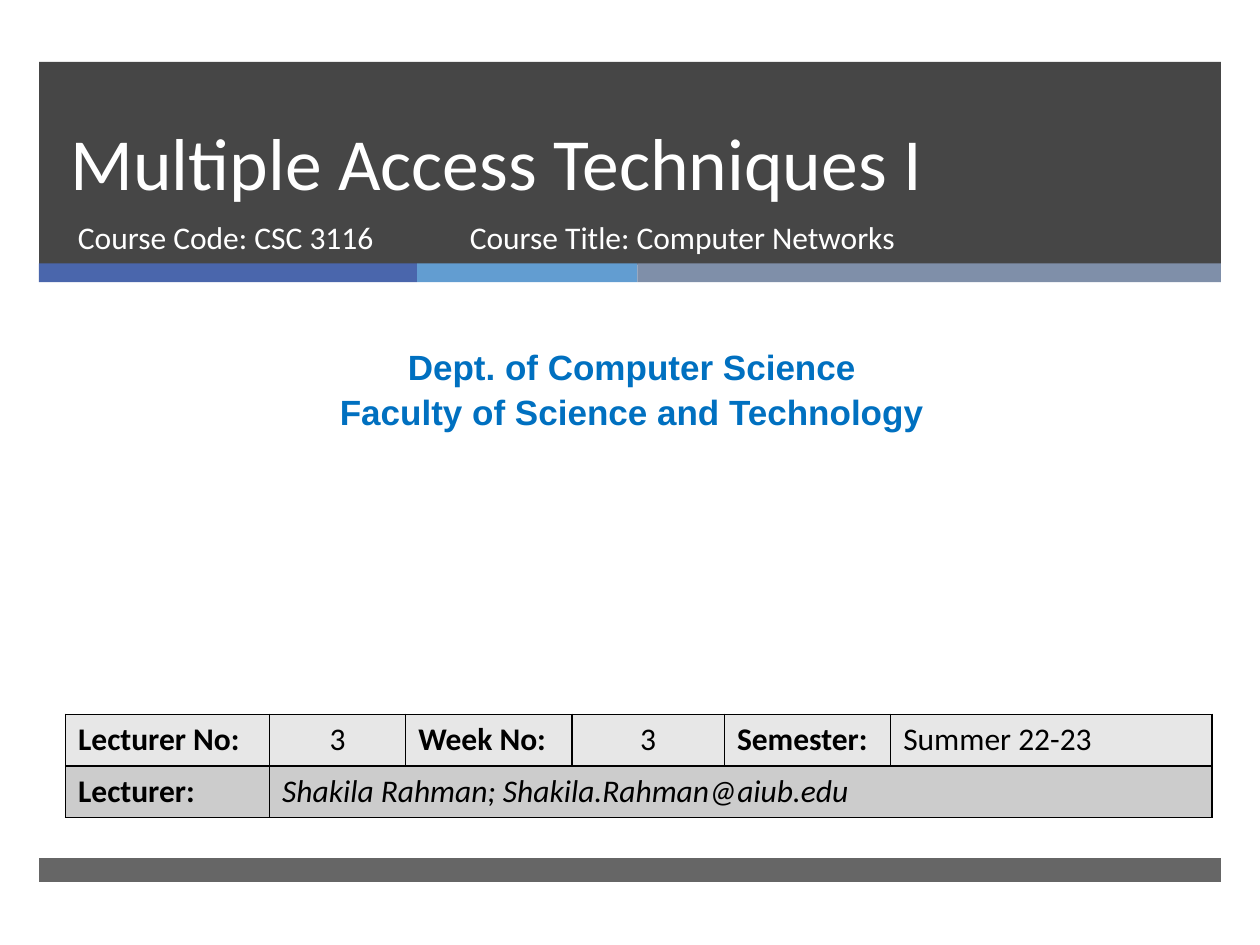
from dataclasses import dataclass
from itertools import accumulate

from lxml.etree import SubElement
from pptx import Presentation
from pptx.dml.color import RGBColor
from pptx.enum.shapes import MSO_SHAPE as Shape
from pptx.enum.text import MSO_ANCHOR as Anchor, PP_ALIGN as Align
from pptx.oxml.ns import qn
from pptx.util import Inches, Pt


@dataclass(frozen=True)
class Theme:
    dark: str = "262626"
    stripes: tuple = ("4A66AC", "629DD1", "7F8FA9")
    white: str = "FFFFFF"
    black: str = "000000"
    accent: str = "0070C0"
    rows: tuple = ("E7E7E7", "CCCCCC")
    body_font: str = "Calibri"
    department_font: str = "Arial"
    title_size: int = 42
    department_size: int = 20
    body_size: int = 18


@dataclass(frozen=True)
class Band:
    left: float
    top: float
    width: float
    height: float
    color: str
    opacity: int = 100


@dataclass(frozen=True)
class Entry:
    text: str
    bold: bool = False
    italic: bool = False
    align: Align = Align.LEFT


THEME = Theme()
LEFT, WIDTH = 0.31, 9.38
STRIPE_WIDTHS = (3, 1.75, 4.63)
COLUMN_WIDTHS = (1.62, 1.08, 1.32, 1.21, 1.32, 2.55)
ROW_HEIGHT = 0.41

BANDS = [
    Band(LEFT, 0.49, WIDTH, 1.61, THEME.dark, 85),
    *(Band(left, 2.09, width, 0.15, color) for left, width, color in
      zip(accumulate(STRIPE_WIDTHS, initial=LEFT), STRIPE_WIDTHS, THEME.stripes)),
    Band(LEFT, 6.81, WIDTH, 0.19, THEME.dark, 70),
]
LECTURE_ROWS = [
    [Entry("Lecturer No:", bold=True), Entry("3", align=Align.CENTER),
     Entry("Week No:", bold=True), Entry("3", align=Align.CENTER),
     Entry("Semester:", bold=True), Entry("Summer 22-23")],
    [Entry("Lecturer:", bold=True),
     Entry("Shakila Rahman; Shakila.Rahman@aiub.edu", italic=True)],
]


def write(frame, text: str, *, size: int = THEME.body_size, color: str = THEME.white,
          font: str = THEME.body_font, bold: bool = False, italic: bool = False,
          align: Align = Align.LEFT, spacing=None) -> None:
    """Fill a text frame, one paragraph for each line of text."""
    for index, line in enumerate(text.split("\n")):
        para = frame.add_paragraph() if index else frame.paragraphs[0]
        para.alignment = align
        if spacing is not None:
            para.line_spacing = spacing
        span = para.add_run()
        span.text = line
        span.font.name = font
        span.font.size = Pt(size)
        span.font.bold = bold
        span.font.italic = italic
        span.font.color.rgb = RGBColor.from_string(color)


def add_band(page, band: Band) -> None:
    box = page.shapes.add_shape(Shape.RECTANGLE, Inches(band.left), Inches(band.top),
                                Inches(band.width), Inches(band.height))
    box.shadow.inherit = False
    box.line.fill.background()
    box.fill.solid()
    box.fill.fore_color.rgb = RGBColor.from_string(band.color)
    if band.opacity < 100:
        color = box.fill._xPr.find(".//" + qn("a:srgbClr"))
        SubElement(color, qn("a:alpha"), val=str(band.opacity * 1000))


def add_text(page, left: float, top: float, width: float, height: float,
             text: str, **style) -> None:
    box = page.shapes.add_textbox(Inches(left), Inches(top), Inches(width), Inches(height))
    box.text_frame.word_wrap = True
    write(box.text_frame, text, **style)


def style_cell(cell, fill: str) -> None:
    """Draw the four borders, then set the fill, which must follow them."""
    properties = cell._tc.get_or_add_tcPr()
    for side in ("lnL", "lnR", "lnT", "lnB"):
        border = SubElement(properties, qn(f"a:{side}"), w=str(Pt(1)))
        SubElement(SubElement(border, qn("a:solidFill")), qn("a:srgbClr"), val=THEME.black)
    cell.fill.solid()
    cell.fill.fore_color.rgb = RGBColor.from_string(fill)


def add_lecture_table(page, left: float, top: float) -> None:
    row_count, column_count = len(LECTURE_ROWS), len(COLUMN_WIDTHS)
    table = page.shapes.add_table(
        row_count, column_count, Inches(left), Inches(top),
        Inches(sum(COLUMN_WIDTHS)), Inches(ROW_HEIGHT * row_count)).table
    for column, width in zip(table.columns, COLUMN_WIDTHS):
        column.width = Inches(width)
    for row, entries, fill in zip(table.rows, LECTURE_ROWS, THEME.rows):
        row.height = Inches(ROW_HEIGHT)
        for cell in row.cells:
            style_cell(cell, fill)
        for cell, entry in zip(row.cells, entries):
            write(cell.text_frame, entry.text, color=THEME.black, bold=entry.bold,
                  italic=entry.italic, align=entry.align)
    # The lecturer's name runs across the rest of the last row
    table.cell(1, 1).merge(table.cell(1, column_count - 1))


def main() -> None:
    deck = Presentation()
    deck.slide_width, deck.slide_height = Inches(10), Inches(7.5)
    page = deck.slides.add_slide(deck.slide_layouts[5])

    # Header, stripes and footer
    for band in BANDS:
        add_band(page, band)

    # Title, brought in front of the header
    title = page.shapes.title
    title.left, title.top = Inches(0.46), Inches(0.49)
    title.width, title.height = Inches(8.54), Inches(1.19)
    title.text_frame.vertical_anchor = Anchor.BOTTOM
    write(title.text_frame, "Multiple Access Techniques I",
          size=THEME.title_size, spacing=Pt(46))
    page.shapes._spTree.append(title._element)

    # Course and department
    add_text(page, 0.52, 1.68, 3.05, 0.53, "Course Code: CSC 3116")
    add_text(page, 3.63, 1.68, 4.55, 0.53, "Course Title: Computer Networks")
    add_text(page, 0.08, 2.68, 9.87, 0.77,
             "Dept. of Computer Science\nFaculty of Science and Technology",
             size=THEME.department_size, color=THEME.accent, font=THEME.department_font,
             bold=True, align=Align.CENTER, spacing=1.05)

    # Lecture details
    add_lecture_table(page, 0.52, 5.67)

    deck.save("out.pptx")


if __name__ == "__main__":
    main()
